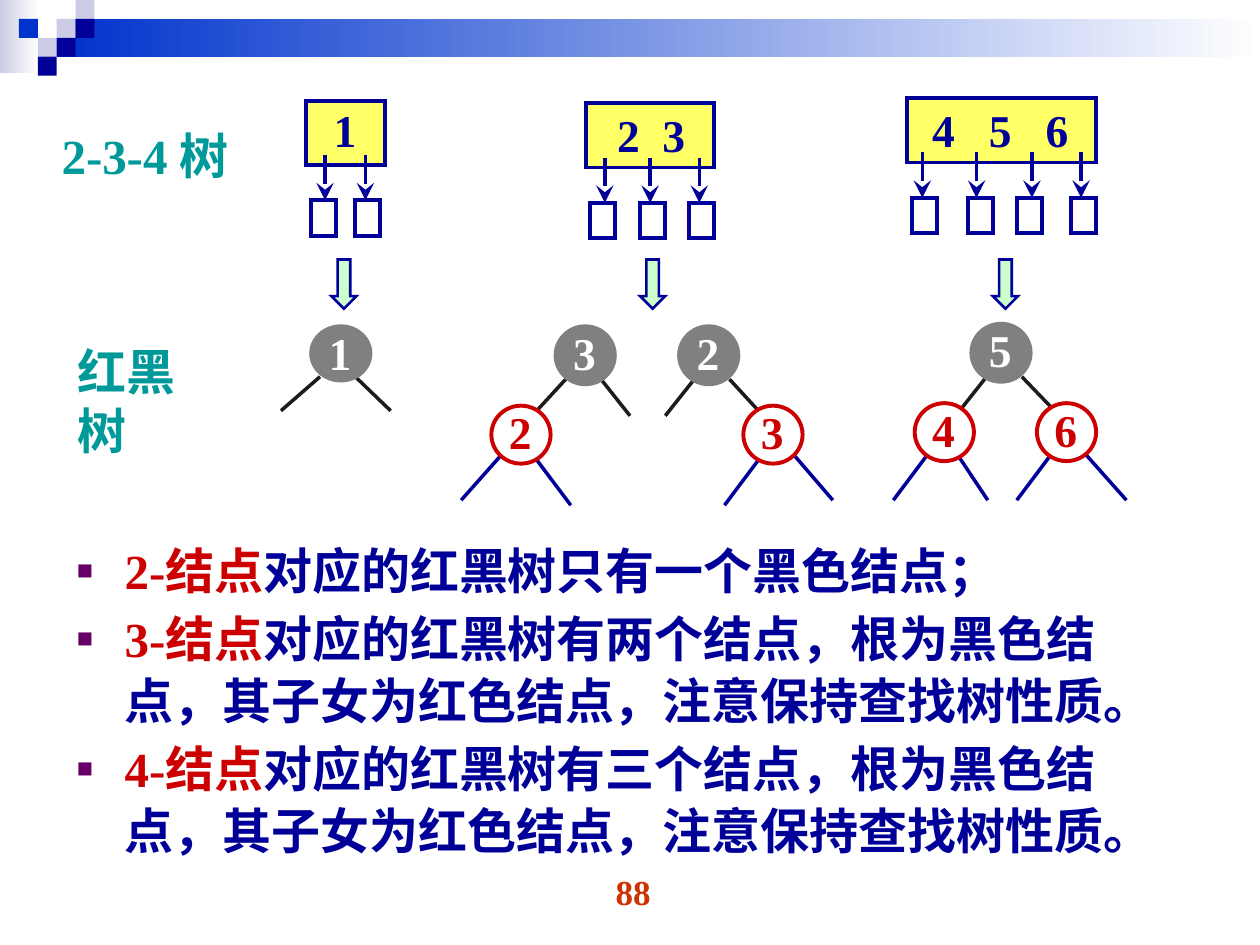
import pptx
import pptx.util
import pptx.dml.color
import pptx.enum.shapes
import pptx.enum.text
import pptx.oxml
import pptx.oxml.ns

Inches = pptx.util.Inches
Pt = pptx.util.Pt
RGB = pptx.dml.color.RGBColor
SHAPE = pptx.enum.shapes.MSO_SHAPE
ALIGN = pptx.enum.text.PP_ALIGN
AUTO_SIZE = pptx.enum.text.MSO_AUTO_SIZE

NAVY = RGB(0x00, 0x00, 0x99)
BLUE = RGB(0x00, 0x33, 0xCC)
LAVENDER = RGB(0xCC, 0xCC, 0xE6)
WHITE = RGB(0xFF, 0xFF, 0xFF)
YELLOW = RGB(0xFF, 0xFF, 0x66)
MINT = RGB(0xCC, 0xFF, 0xCC)
GRAY = RGB(0x80, 0x80, 0x80)
CHARCOAL = RGB(0x1C, 0x1C, 0x1C)
RED = RGB(0xCC, 0x00, 0x00)
ORANGE = RGB(0xCC, 0x33, 0x00)
TEAL = RGB(0x00, 0x99, 0x99)
FONT = "Times New Roman"

# (key box left, top, width, keys, label left, top, width, tab pitch,
#  arrow and child box lefts)
TREES_234 = [
    (2.43, 0.80, 0.63, "1", 2.55, 0.76, 0.56, 0.45, [(2.58, 2.47), (2.90, 2.82)]),
    (4.65, 0.82, 1.02, "2\t3", 4.80, 0.80, 0.83, 0.36,
     [(4.80, 4.68), (5.16, 5.08), (5.55, 5.47)]),
    (7.20, 0.78, 1.50, "4\t5\t6", 7.30, 0.76, 1.28, 0.45,
     [(7.32, 7.24), (7.75, 7.68), (8.19, 8.07), (8.58, 8.50)]),
]

# (digit, left, top, height, branches as x1, y1, x2, y2), parents first
BLACK_NODES = [
    ("1", 2.47, 2.59, 0.43, [(2.54, 2.99, 2.23, 3.26), (2.82, 2.99, 3.10, 3.26)]),
    ("3", 4.41, 2.59, 0.46, [(4.49, 3.01, 4.26, 3.26), (4.77, 3.01, 5.00, 3.30)]),
    ("2", 5.39, 2.59, 0.46, [(5.51, 3.01, 5.28, 3.30), (5.79, 3.01, 6.02, 3.26)]),
    ("5", 7.71, 2.57, 0.46, [(7.83, 2.99, 7.60, 3.28), (8.11, 2.99, 8.35, 3.24)]),
]
RED_NODES = [
    ("2", 3.90, 3.22, 0.46, [(3.98, 3.61, 3.66, 3.97), (4.26, 3.65, 4.53, 4.01)]),
    ("3", 5.90, 3.22, 0.46, [(6.02, 3.65, 5.75, 4.01), (6.30, 3.61, 6.61, 3.97)]),
    ("4", 7.26, 3.20, 0.46, [(7.36, 3.61, 7.09, 3.97), (7.60, 3.61, 7.84, 3.97)]),
    ("6", 8.23, 3.20, 0.46, [(8.34, 3.61, 8.07, 3.97), (8.62, 3.61, 8.94, 3.97)]),
]

RULES = [
    ("2-结点", "对应的红黑树只有一个黑色结点；"),
    ("3-结点", "对应的红黑树有两个结点，根为黑色结点，其子女为红色结点，注意保持查找树性质。"),
    ("4-结点", "对应的红黑树有三个结点，根为黑色结点，其子女为红色结点，注意保持查找树性质。"),
]


def add_xml(parent, tag, **attributes):
    element = parent.makeelement(pptx.oxml.ns.qn(tag), attributes)
    parent.append(element)
    return element


def format_run(run, size, color):
    run.font.name = FONT
    run.font.size = Pt(size)
    run.font.bold = True
    run.font.color.rgb = color


def add_block(slide, kind, left, top, width, height, fill, line=None, weight=2.25):
    block = slide.shapes.add_shape(
        kind, Inches(left), Inches(top), Inches(width), Inches(height))
    block.shadow.inherit = False
    if isinstance(fill, RGB):
        block.fill.solid()
        block.fill.fore_color.rgb = fill
    else:
        block.fill.gradient()
        block.fill.gradient_angle = 0
        for stop, color in zip(block.fill.gradient_stops, fill):
            stop.color.rgb = color
    if line is None:
        block.line.fill.background()
    else:
        block.line.color.rgb = line
        block.line.width = Pt(weight)
        add_xml(block.line._get_or_add_ln(), "a:miter", lim="800000")


def add_label(slide, text, left, top, width, height, size, color, pitch=None):
    label = slide.shapes.add_textbox(
        Inches(left), Inches(top), Inches(width), Inches(height))
    label.text_frame.word_wrap = False
    label.text_frame.auto_size = AUTO_SIZE.SHAPE_TO_FIT_TEXT
    label.text_frame.text = text
    paragraph = label.text_frame.paragraphs[0]
    format_run(paragraph.runs[0], size, color)
    if pitch:
        tabs = add_xml(paragraph._p.get_or_add_pPr(), "a:tabLst")
        for step in range(1, text.count("\t") + 1):
            add_xml(tabs, "a:tab", pos=str(Inches(pitch * step)), algn="l")
    return label


def add_line(slide, x1, y1, x2, y2, color, arrow=False):
    line = slide.shapes.add_connector(
        pptx.enum.shapes.MSO_CONNECTOR.STRAIGHT,
        Inches(x1), Inches(y1), Inches(x2), Inches(y2))
    line.line.color.rgb = color
    line.line.width = Pt(2)
    if arrow:
        add_xml(line.line._get_or_add_ln(), "a:tailEnd", type="stealth", w="lg", len="lg")
    add_xml(line._element.spPr, "a:effectLst")


def add_banner(slide):
    add_block(slide, SHAPE.RECTANGLE, 0, 0, 0.31, 0.58, (LAVENDER, WHITE))
    add_block(slide, SHAPE.RECTANGLE, 0.45, 0.15, 9.55, 0.3, (BLUE, WHITE))
    # Checker squares: column, row, colour
    for column, row, color in [
            (3, 1, LAVENDER), (4, 0, LAVENDER), (4, 1, NAVY), (2, 2, LAVENDER),
            (1, 1, BLUE), (3, 2, NAVY), (2, 3, NAVY)]:
        add_block(slide, SHAPE.RECTANGLE, column * 0.15, row * 0.15, 0.15, 0.15, color)


def add_rules(body):
    body.left, body.top = Inches(0.51), Inches(4.22)
    body.width, body.height = Inches(9), Inches(3.03)
    frame = body.text_frame
    frame.auto_size = AUTO_SIZE.NONE
    for number, parts in enumerate(RULES):
        paragraph = frame.add_paragraph() if number else frame.paragraphs[0]
        paragraph.line_spacing = 1.05
        paragraph.space_before = Pt(3.5)
        for text, color in zip(parts, (RED, NAVY)):
            run = paragraph.add_run()
            run.text = text
            format_run(run, 28, color)
        # Hanging square bullet, punctuation kept inside the margin
        props = paragraph._p.get_or_add_pPr()
        props.set("marL", str(Inches(0.38)))
        props.set("indent", str(-Inches(0.38)))
        props.set("hangingPunct", "0")
        add_xml(add_xml(props, "a:buClr"), "a:srgbClr", val="660066")
        add_xml(props, "a:buSzPct", val="55000")
        add_xml(props, "a:buChar", char="■")


def add_tree_234(slide, left, top, width, keys, label_left, label_top, label_width,
                 pitch, children):
    add_block(slide, SHAPE.RECTANGLE, left, top, width, 0.51, YELLOW, NAVY)
    add_label(slide, keys, label_left, label_top, label_width, 0.54, 26, NAVY, pitch)
    for arrow_x, box_left in children:
        add_line(slide, arrow_x, top + 0.43, arrow_x, top + 0.79, NAVY, arrow=True)
        add_block(slide, SHAPE.RECTANGLE, box_left, top + 0.79, 0.2, 0.28, WHITE, NAVY)


def add_node(slide, node, fill, outline, digit_color, branch_color):
    digit, left, top, height, branches = node
    for branch in branches:
        add_line(slide, *branch, branch_color)
    add_block(slide, SHAPE.OVAL, left, top, 0.47, height, fill, outline)
    add_label(slide, digit, left + 0.04, top - 0.06, 0.38, 0.54, 26, digit_color)


def main():
    deck = pptx.Presentation()
    deck.slide_width, deck.slide_height = Inches(10), Inches(7.5)
    slide = deck.slides.add_slide(deck.slide_layouts[1])
    title = slide.shapes.title._element
    title.getparent().remove(title)

    add_banner(slide)
    add_rules(slide.placeholders[1])

    # Page number
    page = add_label(slide, "88", 3.86, 6.86, 2.33, 0.52, 20, ORANGE)
    page.text_frame.word_wrap = True
    page.text_frame.auto_size = AUTO_SIZE.NONE
    page.text_frame.paragraphs[0].alignment = ALIGN.CENTER

    # 2-3-4 trees, each turned into its red-black tree
    add_label(slide, "2-3-4 树", 0.39, 0.95, 1.62, 0.57, 28, TEAL)
    add_label(slide, "红黑树", 0.52, 2.66, 1.36, 0.57, 28, TEAL)
    for tree in TREES_234:
        add_tree_234(slide, *tree)
    for arrow_left in (2.63, 5.08, 7.88):
        add_block(slide, SHAPE.DOWN_ARROW, arrow_left, 2.06, 0.2, 0.39, MINT, NAVY, 1.5)
    for node in BLACK_NODES:
        add_node(slide, node, GRAY, GRAY, WHITE, CHARCOAL)
    for node in RED_NODES:
        add_node(slide, node, WHITE, RED, RED, NAVY)

    deck.save("out.pptx")


if __name__ == "__main__":
    main()
